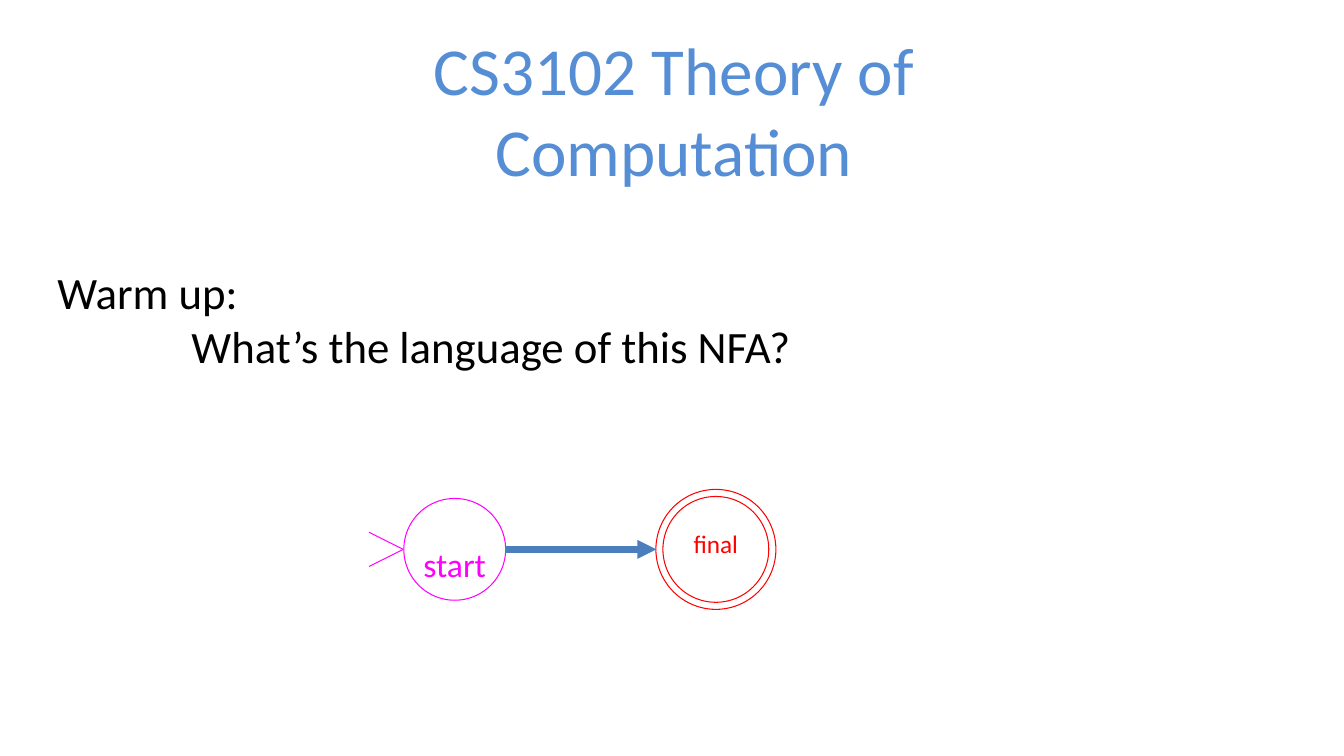
import pptx
import pptx.dml.color
import pptx.enum.shapes
import pptx.enum.text
import pptx.oxml.ns
import pptx.util
from lxml import etree
from pptx.util import Inches

THEME = {
    "font": "Calibri",
    "title": ("558ED5", 48),
    "body": ("000000", 32),
    "start": ("FF00FF", 24),
    "final": ("FF0000", 18),
    "arrow": "4B7EBC",
}


def write(text_frame, text, style, align):
    color, size = THEME[style]
    text_frame.text = text
    for paragraph in text_frame.paragraphs:
        paragraph.alignment = align
        for run in paragraph.runs:
            run.font.name = THEME["font"]
            run.font.size = pptx.util.Pt(size)
            run.font.color.rgb = pptx.dml.color.RGBColor.from_string(color)


def draw_line(x1, y1, x2, y2, color, width):
    line = slide.shapes.add_connector(
        pptx.enum.shapes.MSO_CONNECTOR.STRAIGHT,
        Inches(x1), Inches(y1), Inches(x2), Inches(y2))
    line.line.color.rgb = pptx.dml.color.RGBColor.from_string(color)
    line.line.width = pptx.util.Pt(width)
    etree.SubElement(line._element.spPr, pptx.oxml.ns.qn("a:effectLst"))
    return line


presentation = pptx.Presentation()
presentation.slide_width = Inches(13.33)
presentation.slide_height = Inches(7.5)
slide = presentation.slides.add_slide(presentation.slide_layouts[5])
center = pptx.enum.text.PP_ALIGN.CENTER
middle = pptx.enum.text.MSO_ANCHOR.MIDDLE

# Title
title = slide.shapes.title
title.left, title.top = Inches(2.91), Inches(0.01)
title.width, title.height = Inches(7.55), Inches(2.14)
frame = title.text_frame
frame.margin_left = frame.margin_right = Inches(0.13)
frame.margin_top = frame.margin_bottom = Inches(0.07)
frame.vertical_anchor = middle
frame.word_wrap = True
frame.auto_size = pptx.enum.text.MSO_AUTO_SIZE.NONE
write(frame, "CS3102 Theory of Computation", "title", center)

# Warm-up question, second line indented
question = slide.shapes.add_textbox(
    Inches(0.47), Inches(2.58), Inches(12.19), Inches(1.18))
question.text_frame.word_wrap = True
write(question.text_frame, "Warm up:\nWhat’s the language of this NFA?",
      "body", pptx.enum.text.PP_ALIGN.LEFT)
indented = question.text_frame.paragraphs[1]._p.get_or_add_pPr()
indented.set("marL", str(Inches(1.33)))
indented.set("indent", "0")

# States: center x, diameter, style, label, top inset that lowers the label
axis = 5.45
states = [
    (4.51, 1.01, "start", "start", 0.44),
    (7.1, 1.19, "final", "", 0),
    (7.1, 1.05, "final", "final", 0),
]
for center_x, diameter, style, label, inset in states:
    state = slide.shapes.add_shape(
        pptx.enum.shapes.MSO_SHAPE.OVAL,
        Inches(center_x - diameter / 2), Inches(axis - diameter / 2),
        Inches(diameter), Inches(diameter))
    state.shadow.inherit = False
    state.fill.background()
    state.line.color.rgb = pptx.dml.color.RGBColor.from_string(THEME[style][0])
    state.line.width = pptx.util.Pt(0.75)
    if label:
        frame = state.text_frame
        frame.word_wrap = False
        frame.vertical_anchor = middle
        frame.margin_top, frame.margin_bottom = Inches(inset), 0
        write(frame, label, style, center)
        frame.paragraphs[0].line_spacing = 0.5

# Start marker
for end_y in (axis - 0.17, axis + 0.17):
    draw_line(3.66, end_y, 4, axis, THEME["start"][0], 0.75)

# Transition arrow
transition = draw_line(5.01, axis, 6.51, axis, THEME["arrow"], 4.5)
etree.SubElement(transition.line._get_or_add_ln(),
                 pptx.oxml.ns.qn("a:tailEnd"), type="triangle")

presentation.save("out.pptx")
